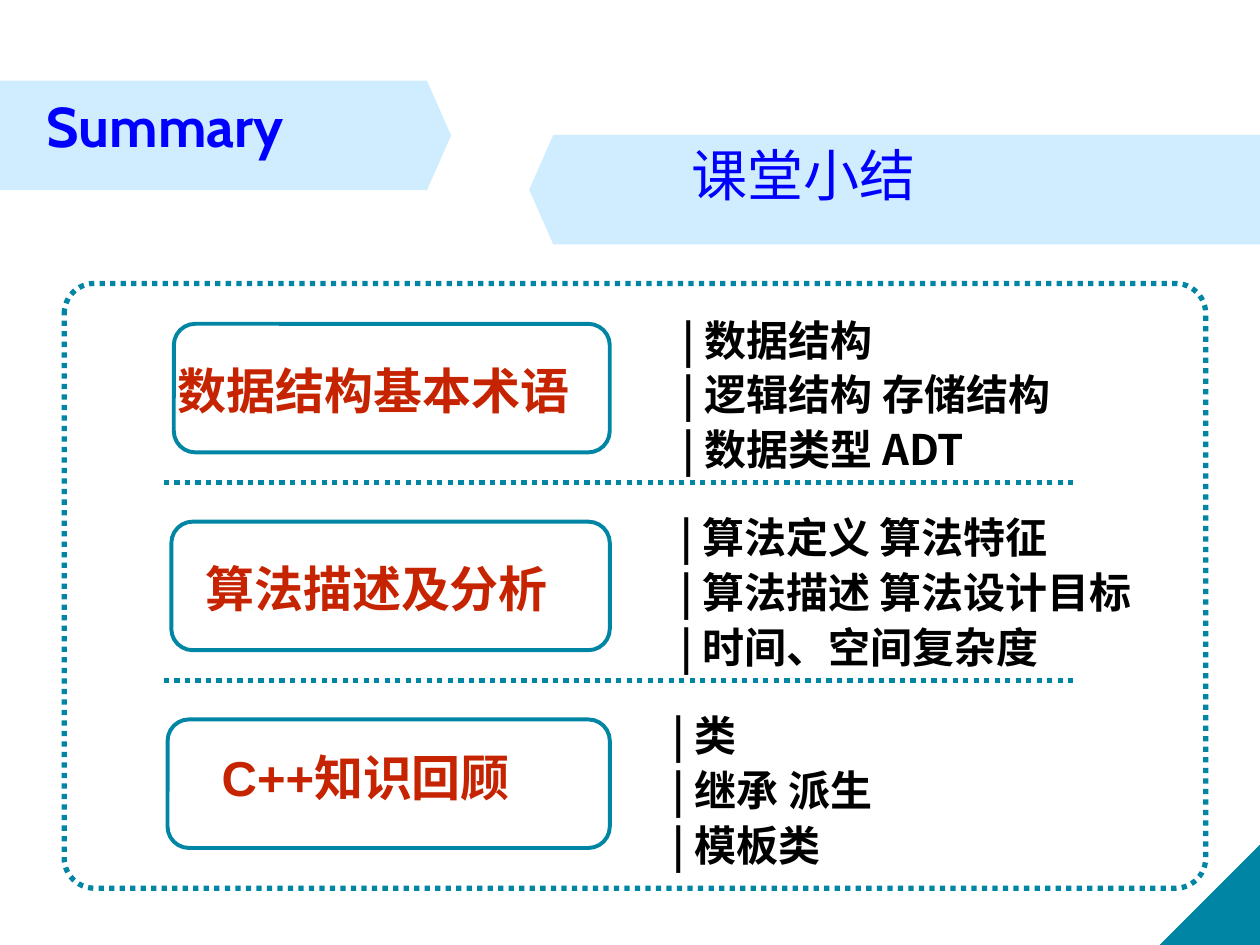
from dataclasses import dataclass

from lxml.etree import SubElement
from pptx import Presentation
from pptx.dml.color import RGBColor
from pptx.enum.dml import MSO_LINE_DASH_STYLE as Dash
from pptx.enum.shapes import MSO_CONNECTOR as Connector, MSO_SHAPE as Shape
from pptx.enum.text import MSO_ANCHOR as Anchor, PP_ALIGN as Align
from pptx.oxml.ns import qn
from pptx.util import Inches, Pt

TEAL = RGBColor(0x00, 0x85, 0xA4)
PALE_BLUE = RGBColor(0xCF, 0xED, 0xFE)
BLUE = RGBColor(0x00, 0x00, 0xFF)
RED = RGBColor(0xC6, 0x24, 0x00)
BLACK = RGBColor(0x00, 0x00, 0x00)

WIDTH, HEIGHT = 10, 7.5
FIRST_ROW, ROW_PITCH = 2.41, 1.57
DIVIDER_OFFSET = 1.42
FRAME_OFFSET, FRAME_RIGHT, FRAME_HEIGHT = 0.16, 4.84, 1.02
BANNER_HEIGHT = 0.87
CORNER = 0.79


@dataclass
class Topic:
    label: str
    details: list
    frame_left: float
    label_left: float
    label_offset: float
    details_left: float


TOPICS = [
    Topic("数据结构基本术语",
          ["| 数据结构", "| 逻辑结构 存储结构", "| 数据类型 ADT"],
          1.38, 1.41, 0.4, 5.32),
    Topic("算法描述及分析",
          ["| 算法定义 算法特征", "| 算法描述 算法设计目标", "| 时间、空间复杂度"],
          1.36, 1.63, 0.4, 5.3),
    Topic("C++知识回顾",
          ["| 类", "| 继承 派生", "| 模板类"],
          1.33, 1.76, 0.33, 5.24),
]


def inches(*lengths):
    return [Inches(length) for length in lengths]


def write_text(frame, lines, *, size, font, color, bold=False, line_height=None, side=0.1):
    frame.word_wrap = True
    frame.vertical_anchor = Anchor.TOP
    frame.margin_left = frame.margin_right = Inches(side)
    for number, line in enumerate(lines):
        paragraph = frame.add_paragraph() if number else frame.paragraphs[0]
        paragraph.alignment = Align.LEFT
        paragraph.space_before = Pt(0)
        if line_height:
            paragraph.line_spacing = Pt(line_height)
        run = paragraph.add_run()
        run.text = line
        run.font.size = Pt(size)
        run.font.bold = bold
        run.font.color.rgb = color
        run.font.name = font
        SubElement(run.font.latin if hasattr(run.font, "latin") else run.font._rPr,
                   qn("a:ea"), typeface=font)


def add_text(shapes, box, lines, **text_format):
    textbox = shapes.add_textbox(*inches(*box))
    write_text(textbox.text_frame, lines, **text_format)


def add_block(shapes, kind, box, *, fill=None, line=None, weight=0.75,
              dash=None, adjust=None, rotation=0):
    block = shapes.add_shape(kind, *inches(*box))
    block.shadow.inherit = False
    block.rotation = rotation
    if adjust is not None:
        block.adjustments[0] = adjust
    if fill is None:
        block.fill.background()
    else:
        block.fill.solid()
        block.fill.fore_color.rgb = fill
    if line is None:
        block.line.fill.background()
    else:
        style_line(block.line, line, weight, dash)


def style_line(line, color, weight, dash):
    line.color.rgb = color
    line.width = Pt(weight)
    if dash is not None:
        line.dash_style = dash


def add_divider(shapes, top):
    divider = shapes.add_connector(Connector.STRAIGHT, *inches(1.3, top, 8.55, top))
    style_line(divider.line, TEAL, 3, Dash.ROUND_DOT)
    SubElement(divider.element.spPr, qn("a:effectLst"))


def add_banners(slide):
    shapes = slide.shapes
    add_block(shapes, Shape.PENTAGON, (0, 0.64, 3.58, BANNER_HEIGHT),
              fill=PALE_BLUE, adjust=0.22)
    add_block(shapes, Shape.PENTAGON, (4.2, 1.07, WIDTH - 4.2, BANNER_HEIGHT),
              fill=PALE_BLUE, adjust=0.22, rotation=180)
    add_block(shapes, Shape.RIGHT_TRIANGLE,
              (WIDTH - CORNER, HEIGHT - CORNER, CORNER, CORNER),
              fill=TEAL, line=TEAL, rotation=270)
    title = shapes.title
    title.left, title.top, title.width, title.height = inches(0.27, 0.68, 3.47, 0.63)
    write_text(title.text_frame, ["Summary"], size=32, font="Cabin", color=BLUE, bold=True)
    title.element.getparent().append(title.element)
    add_text(shapes, (5.39, 1.07, 4.09, 0.63), ["课堂小结"],
             size=32, font="Arial", color=BLUE)


def add_topic(shapes, topic, top):
    add_text(shapes, (topic.details_left, top, 4.11, 1.38), topic.details,
             size=24, font="Noto Sans CJK SC", color=BLACK, bold=True, line_height=31.25)
    group = shapes.add_group_shape()
    add_block(group.shapes, Shape.FLOWCHART_ALTERNATE_PROCESS,
              (topic.frame_left, top + FRAME_OFFSET,
               FRAME_RIGHT - topic.frame_left, FRAME_HEIGHT),
              line=TEAL, weight=2.25)
    add_text(group.shapes, (topic.label_left, top + topic.label_offset, 3.4, 0.57),
             [topic.label], size=28, font="Arial", color=RED, bold=True, side=0)


def main():
    presentation = Presentation()
    presentation.slide_width, presentation.slide_height = inches(WIDTH, HEIGHT)
    slide = presentation.slides.add_slide(presentation.slide_layouts[5])
    add_banners(slide)
    for row in range(len(TOPICS) - 1):
        add_divider(slide.shapes, FIRST_ROW + DIVIDER_OFFSET + row * ROW_PITCH)
    add_block(slide.shapes, Shape.ROUNDED_RECTANGLE, (0.51, 2.25, 9.06, 4.8),
              line=TEAL, weight=3, dash=Dash.ROUND_DOT, adjust=0.05)
    for row, topic in enumerate(TOPICS):
        add_topic(slide.shapes, topic, FIRST_ROW + row * ROW_PITCH)
    presentation.save("out.pptx")


if __name__ == "__main__":
    main()
